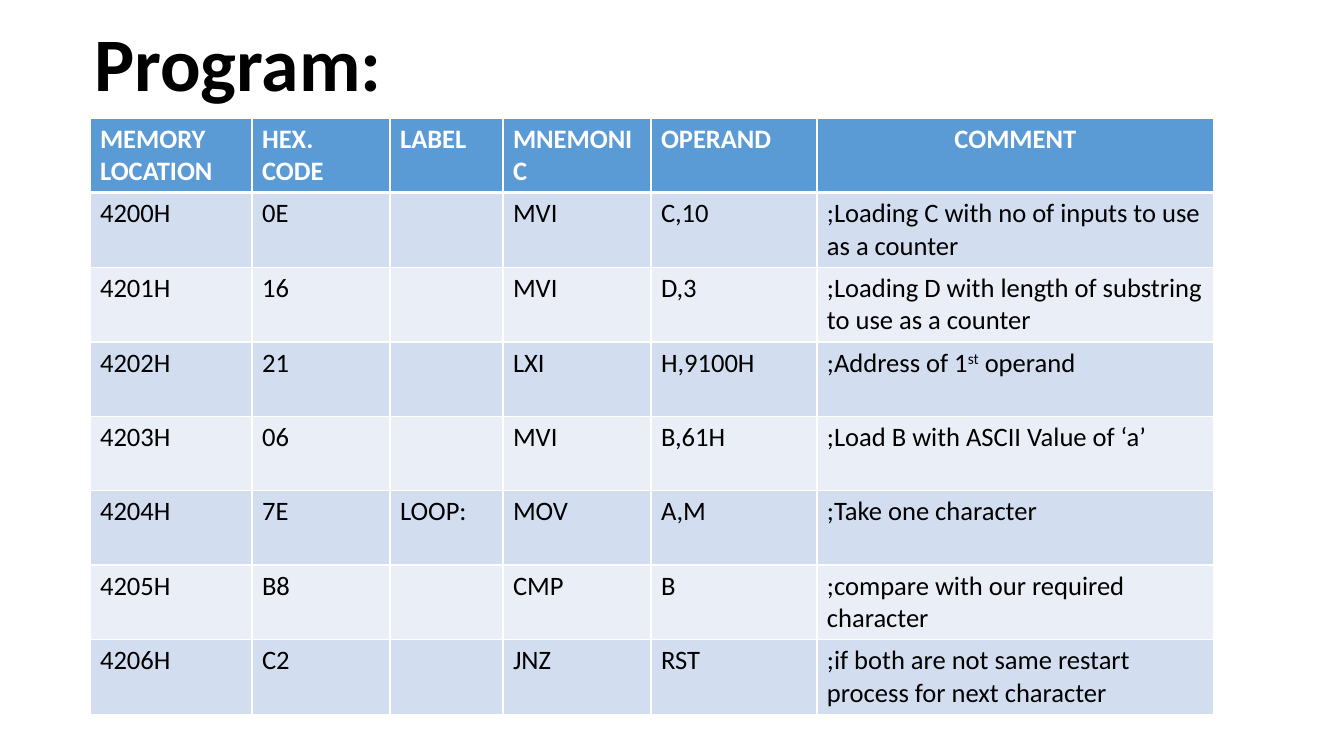
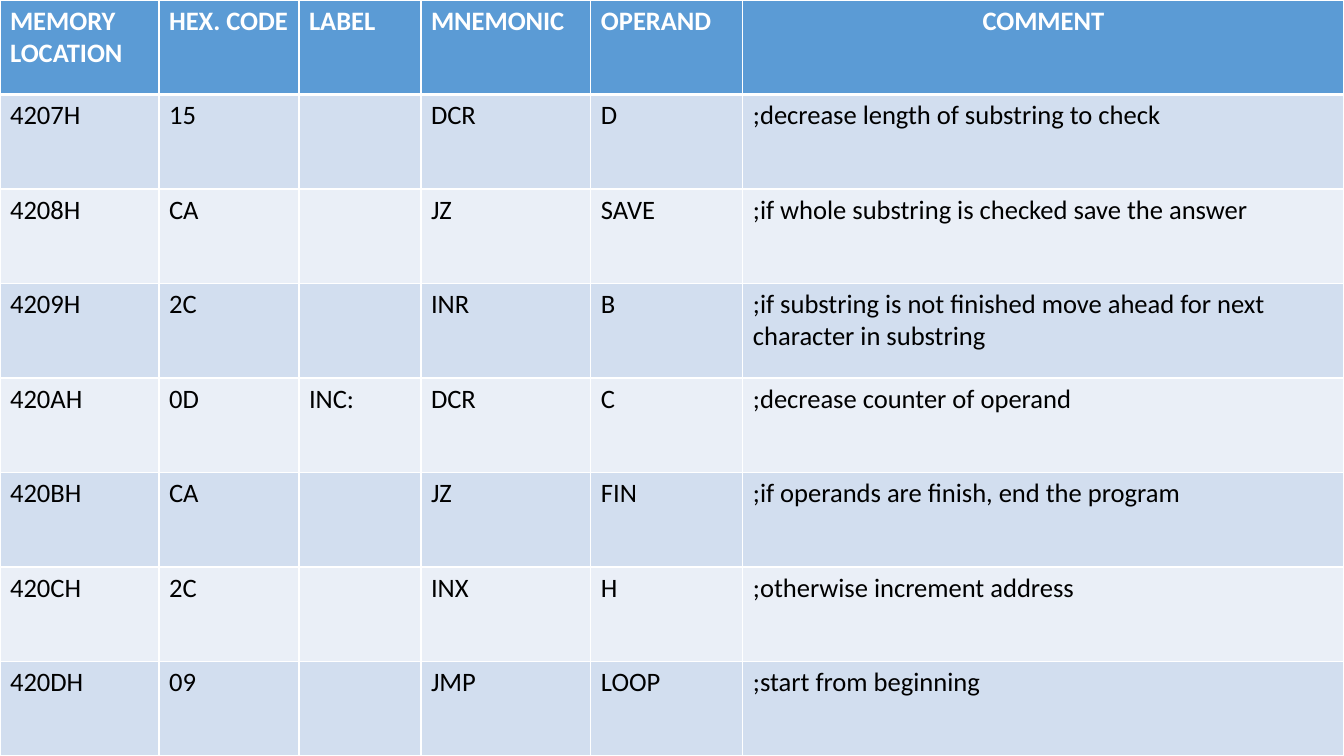
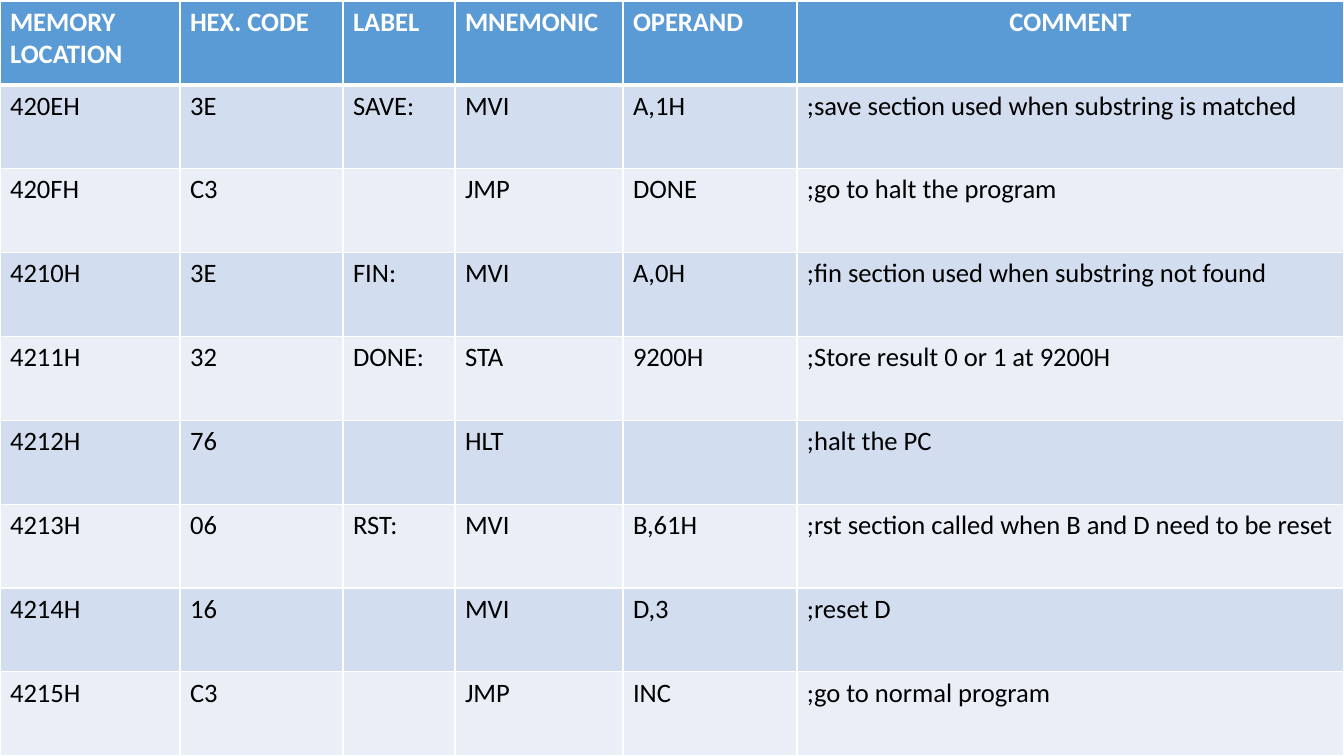
"""Build three slides listing an assembly program in tables."""
from lxml.etree import SubElement
from pptx import Presentation
from pptx.dml.color import RGBColor as RGB
from pptx.enum.text import MSO_ANCHOR as ANCHOR, MSO_AUTO_SIZE as AUTO, PP_ALIGN as ALIGN
from pptx.oxml.ns import qn
from pptx.util import Pt

SCALE = 9071.43
COLORS = {"white": "FFFFFF", "text": "000000", "header": "5B9BD5",
          "band": "D2DEEF", "light": "EAEFF7"}
FONT = "Calibri"
TITLE_ONLY, BLANK = 5, 6
HEADINGS = ["MEMORY\nLOCATION", "HEX. CODE", "LABEL", "MNEMONIC", "OPERAND", "COMMENT"]
TITLE_FONT = {"name": FONT, "size": Pt(54), "bold": True}
HEADER_FONT = {"name": FONT, "size": Pt(19), "bold": True}
BODY_FONT = {"name": FONT, "size": Pt(19), "bold": False}

PAGES = [
    {"title": "Program:", "left": 90, "top": 118, "height": 595,
     "columns": [162, 138, 113, 148, 166, 397],
     "code": [
         "4200H|0E||MVI|C,10|;Loading C with no of inputs to use as a counter",
         "4201H|16||MVI|D,3|;Loading D with length of substring to use as a counter",
         "4202H|21||LXI|H,9100H|;Address of 1^st^ operand",
         "4203H|06||MVI|B,61H|;Load B with ASCII Value of ‘a’",
         "4204H|7E|LOOP:|MOV|A,M|;Take one character",
         "4205H|B8||CMP|B|;compare with our required character",
         "4206H|C2||JNZ|RST|;if both are not same restart process for next character"]},
    {"title": None, "left": 0, "top": 0, "height": 756,
     "columns": [159, 140, 122, 170, 152, 601],
     "code": [
         "4207H|15||DCR|D|;decrease length of substring to check",
         "4208H|CA||JZ|SAVE|;if whole substring is checked save the answer",
         "4209H|2C||INR|B|;if substring is not finished move ahead for next character in substring",
         "420AH|0D|INC:|DCR|C|;decrease counter of operand",
         "420BH|CA||JZ|FIN|;if operands are finish, end the program",
         "420CH|2C||INX|H|;otherwise increment address",
         "420DH|09||JMP|LOOP|;start from beginning"]},
    {"title": None, "left": 0, "top": 1, "height": 755,
     "columns": [180, 163, 112, 168, 174, 547],
     "code": [
         "420EH|3E|SAVE:|MVI|A,1H|;save section used when substring is matched",
         "420FH|C3||JMP|DONE|;go to halt the program",
         "4210H|3E|FIN:|MVI|A,0H|;fin section used when substring not found",
         "4211H|32|DONE:|STA|9200H|;Store result 0 or 1 at 9200H",
         "4212H|76||HLT||;halt the PC",
         "4213H|06|RST:|MVI|B,61H|;rst section called when B and D need to be reset",
         "4214H|16||MVI|D,3|;reset D",
         "4215H|C3||JMP|INC|;go to normal program"]},
]


def px(pixels):
    return round(pixels * SCALE)


def style(font, settings, color):
    for key, value in settings.items():
        setattr(font, key, value)
    font.color.rgb = RGB.from_string(COLORS[color])


deck = Presentation()
deck.slide_width, deck.slide_height = px(1344), px(756)

for page in PAGES:
    slide = deck.slides.add_slide(deck.slide_layouts[TITLE_ONLY if page["title"] else BLANK])
    if page["title"]:
        heading = slide.shapes.title
        box = {"left": px(84), "top": px(44), "width": px(1099), "height": px(129)}
        for key, value in box.items():
            setattr(heading, key, value)
        frame = heading.text_frame
        frame.text = page["title"]
        layout = {"auto_size": AUTO.NONE, "vertical_anchor": ANCHOR.MIDDLE,
                  "word_wrap": True, "margin_bottom": px(88)}
        for key, value in layout.items():
            setattr(frame, key, value)
        line = frame.paragraphs[0]
        line.alignment, line.line_spacing = ALIGN.LEFT, 0.9
        style(line.runs[0].font, TITLE_FONT, "text")

    rows = [HEADINGS] + [entry.split("|") for entry in page["code"]]
    listing = slide.shapes.add_table(
        len(rows), len(HEADINGS), px(page["left"]), px(page["top"]),
        px(sum(page["columns"])), px(page["height"])).table
    for column, width in zip(listing.columns, page["columns"]):
        column.width = px(width)

    for r, values in enumerate(rows):
        listing.rows[r].height = px(page["height"] / len(rows))
        fill = "header" if r == 0 else "band" if r % 2 else "light"
        borders = {"lnL": 1, "lnR": 1, "lnT": 3 if r == 1 else 1, "lnB": 3 if r == 0 else 1}
        for c, value in enumerate(values):
            cell = listing.cell(r, c)
            properties = cell._tc.get_or_add_tcPr()
            for side, points in borders.items():
                edge = SubElement(properties, qn(f"a:{side}"), w=str(Pt(points)))
                solid = SubElement(edge, qn("a:solidFill"))
                SubElement(solid, qn("a:srgbClr"), val=COLORS["white"])
            cell.fill.solid()
            cell.fill.fore_color.rgb = RGB.from_string(COLORS[fill])
            cell.text = value.split("^")[0]
            for suffix, part in enumerate(value.split("^")[1:]):
                run = cell.text_frame.paragraphs[0].add_run()
                run.text = part
                if suffix % 2 == 0:
                    run._r.get_or_add_rPr().set("baseline", "30000")
            for paragraph in cell.text_frame.paragraphs:
                if value == "COMMENT":
                    paragraph.alignment = ALIGN.CENTER
                for run in paragraph.runs:
                    style(run.font, BODY_FONT if r else HEADER_FONT, "text" if r else "white")

deck.save("out.pptx")
